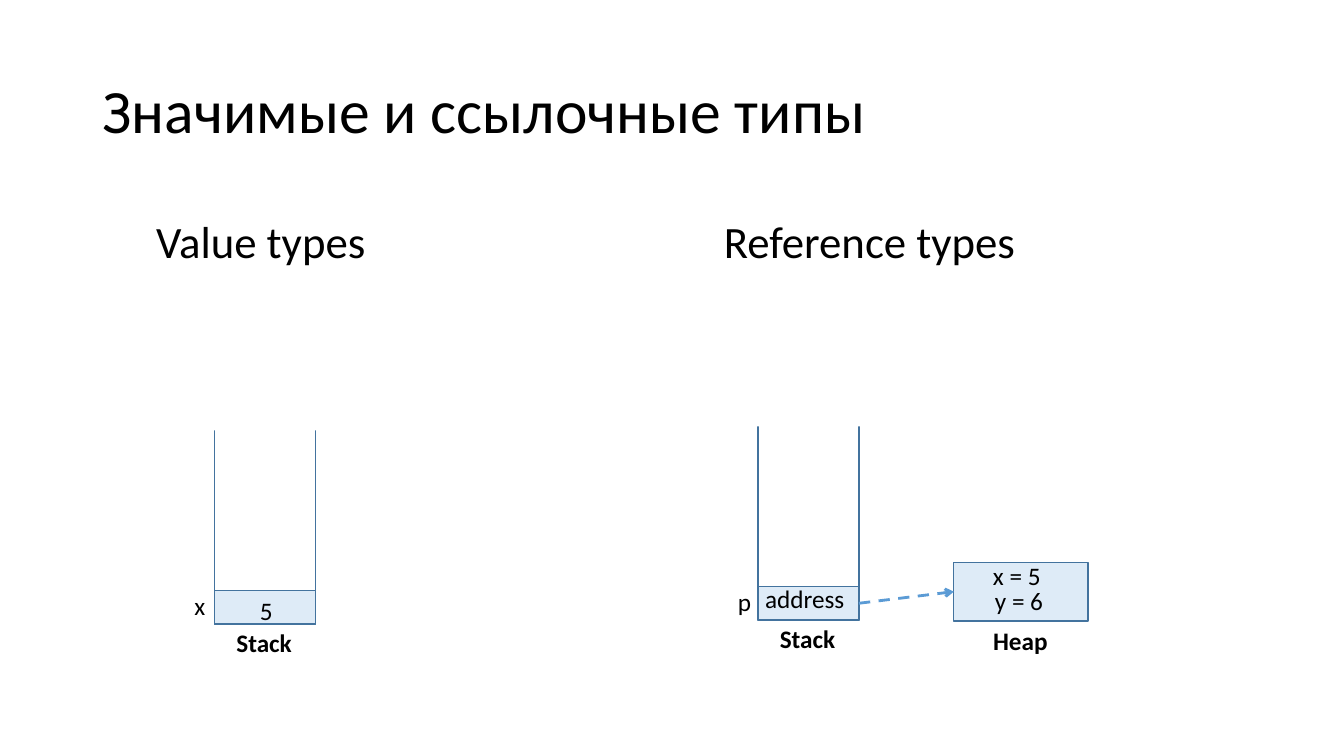
from lxml import etree
from pptx import Presentation
from pptx.dml.color import RGBColor
from pptx.enum.dml import MSO_LINE
from pptx.enum.shapes import MSO_CONNECTOR, MSO_SHAPE
from pptx.enum.text import MSO_ANCHOR, MSO_AUTO_SIZE, PP_ALIGN
from pptx.oxml.ns import qn
from pptx.util import Inches, Pt

RECTANGLE = MSO_SHAPE.RECTANGLE
STRAIGHT = MSO_CONNECTOR.STRAIGHT
LEFT, CENTER = PP_ALIGN.LEFT, PP_ALIGN.CENTER
BLACK = RGBColor(0x00, 0x00, 0x00)
WHITE = RGBColor(0xFF, 0xFF, 0xFF)
CELL_BLUE = RGBColor(0xDE, 0xEB, 0xF7)
OUTLINE_BLUE = RGBColor(0x43, 0x73, 0x9E)
ARROW_BLUE = RGBColor(0x5B, 0x9B, 0xD5)

STACK_WIDTH, STACK_HEIGHT, CELL_HEIGHT = 1, 2, 0.33
LABEL_HEIGHT, CAPTION_HEIGHT = 0.4, 0.42
COVER_WIDTH, COVER_HEIGHT = 1.13, 0.13

presentation = Presentation()
presentation.slide_width = Inches(13.33)
presentation.slide_height = Inches(7.5)
slide = presentation.slides.add_slide(presentation.slide_layouts[5])


def add_box(left, top, width, height, fill, outlined=True):
    shape = slide.shapes.add_shape(
        RECTANGLE, Inches(left), Inches(top), Inches(width), Inches(height))
    shape.shadow.inherit = False
    shape.fill.solid()
    shape.fill.fore_color.rgb = fill
    if outlined:
        shape.line.color.rgb = OUTLINE_BLUE
        shape.line.width = Pt(1)
    else:
        shape.line.fill.background()
    return shape


def add_text(text, left, top, width, height, size=18, bold=False, align=LEFT, wrap=False):
    frame = slide.shapes.add_textbox(
        Inches(left), Inches(top), Inches(width), Inches(height)).text_frame
    frame.word_wrap = wrap
    frame.auto_size = MSO_AUTO_SIZE.NONE if wrap else MSO_AUTO_SIZE.SHAPE_TO_FIT_TEXT
    paragraph = frame.paragraphs[0]
    paragraph.text = text
    paragraph.alignment = align
    paragraph.font.name = "Calibri"
    paragraph.font.size = Pt(size)
    paragraph.font.bold = bold
    paragraph.font.color.rgb = BLACK


# Title
title = slide.shapes.title
title.left, title.top = Inches(0.92), Inches(0.4)
title.width, title.height = Inches(11.5), Inches(1.45)
title.text_frame.auto_size = MSO_AUTO_SIZE.NONE
title.text_frame.vertical_anchor = MSO_ANCHOR.MIDDLE
title.text_frame.text = "Значимые и ссылочные типы"
paragraph = title.text_frame.paragraphs[0]
paragraph.alignment = LEFT
paragraph.line_spacing = 0.9
paragraph.font.name = "Calibri"
paragraph.font.size = Pt(44)
paragraph.font.color.rgb = BLACK

# Column headings
for heading, left in (("Value types", 1.45), ("Reference types", 7.08)):
    add_text(heading, left, 2.07, 4.42, 0.7, size=32, wrap=True)

# Stacks: an open-topped column whose bottom cell holds the variable
stacks = (
    (2.13, 4.19, "x", "5", 2.48, 5.86, 0.33),
    (7.52, 4.15, "p", "address", 7.49, 5.74, 1.08),
)
for left, top, variable, value, value_left, value_top, value_width in stacks:
    bottom = top + STACK_HEIGHT
    cell_top = bottom - CELL_HEIGHT
    add_box(left, top, STACK_WIDTH, STACK_HEIGHT, WHITE)
    add_box(left + (STACK_WIDTH - COVER_WIDTH) / 2, top - 0.05,
            COVER_WIDTH, COVER_HEIGHT, WHITE, outlined=False)
    cell = add_box(left, cell_top, STACK_WIDTH, CELL_HEIGHT, CELL_BLUE)
    add_text(variable, left - 0.3, cell_top - 0.05, 0.32, LABEL_HEIGHT)
    add_text(value, value_left, value_top, value_width, LABEL_HEIGHT)
    add_text("Stack", left + 0.06, bottom - 0.02, 0.86, CAPTION_HEIGHT,
             bold=True, align=CENTER)

# Heap object
heap = add_box(9.46, 5.58, 1.33, 0.58, CELL_BLUE)
add_text("x = 5", 9.75, 5.51, 0.84, LABEL_HEIGHT)
add_text("y = 6", 9.77, 5.76, 0.84, LABEL_HEIGHT)
add_text("Heap", 9.71, 6.15, 0.82, CAPTION_HEIGHT, bold=True, align=CENTER)

# Dashed arrow from the address cell, the last one drawn, to the heap
reference = slide.shapes.add_connector(STRAIGHT, 0, 0, 0, 0)
reference.begin_connect(cell, 3)
reference.end_connect(heap, 1)
reference.line.color.rgb = ARROW_BLUE
reference.line.width = Pt(2)
reference.line.dash_style = MSO_LINE.DASH
etree.SubElement(reference.line._get_or_add_ln(), qn("a:tailEnd"), type="arrow")
etree.SubElement(reference._element.spPr, qn("a:effectLst"))

presentation.save("out.pptx")
